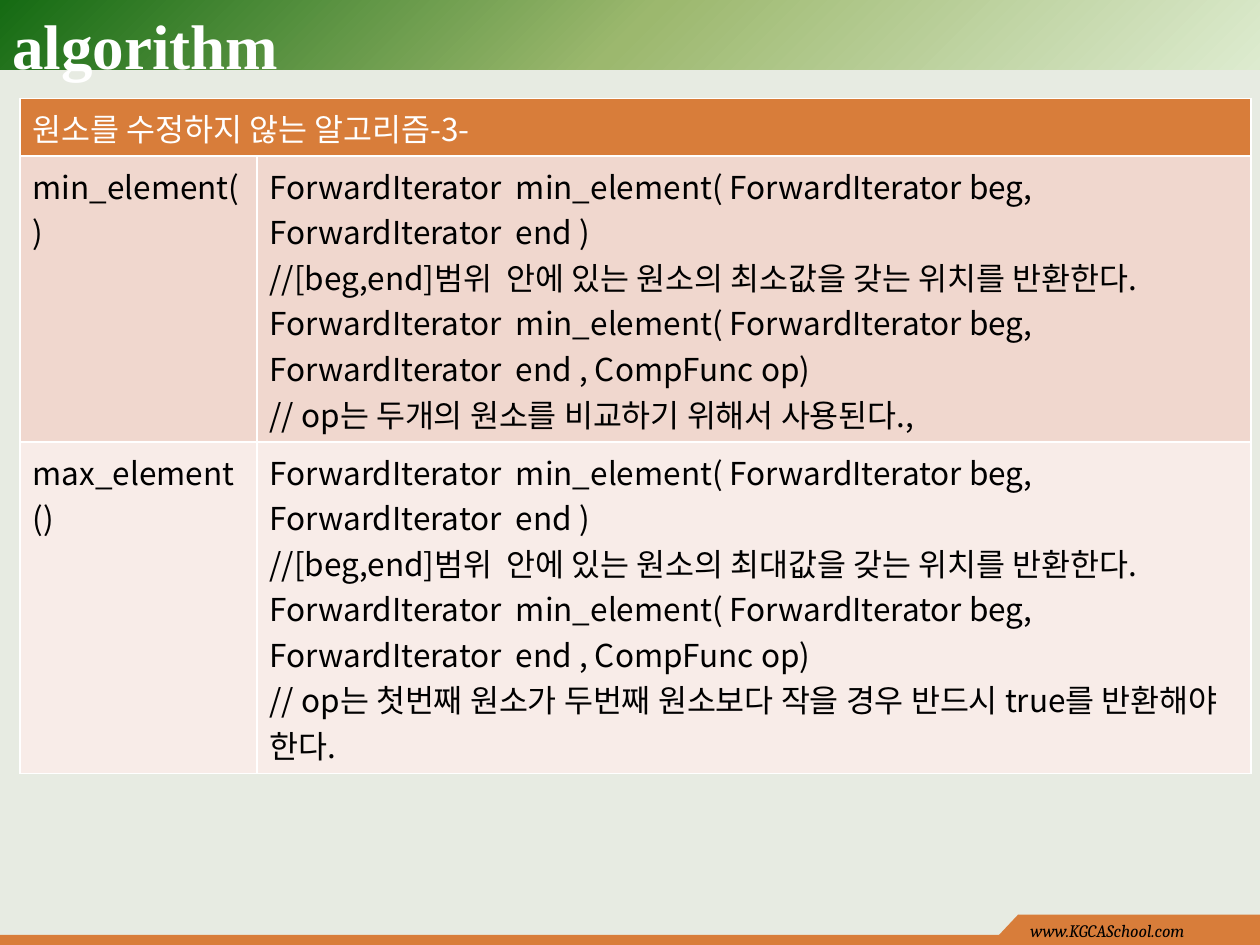
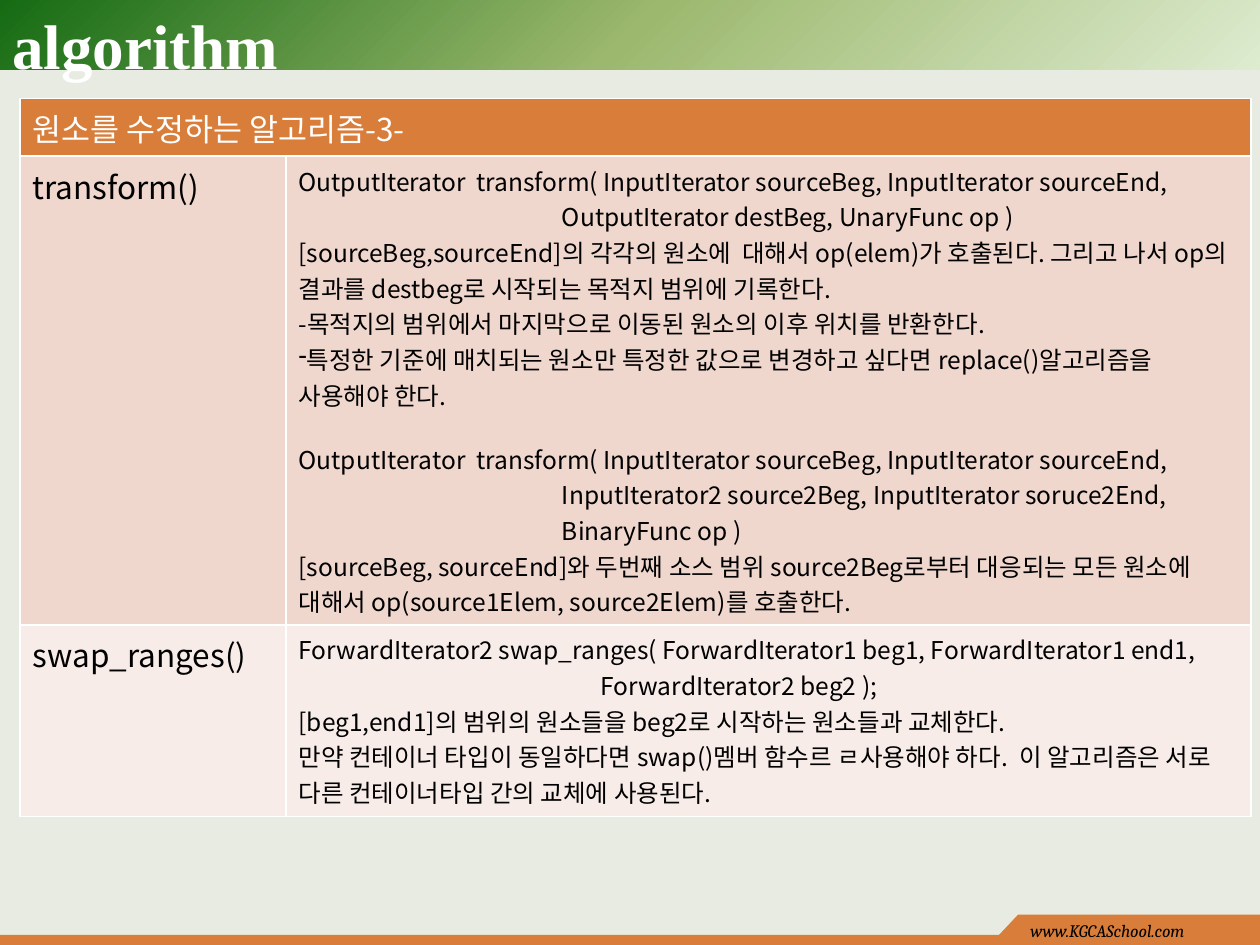
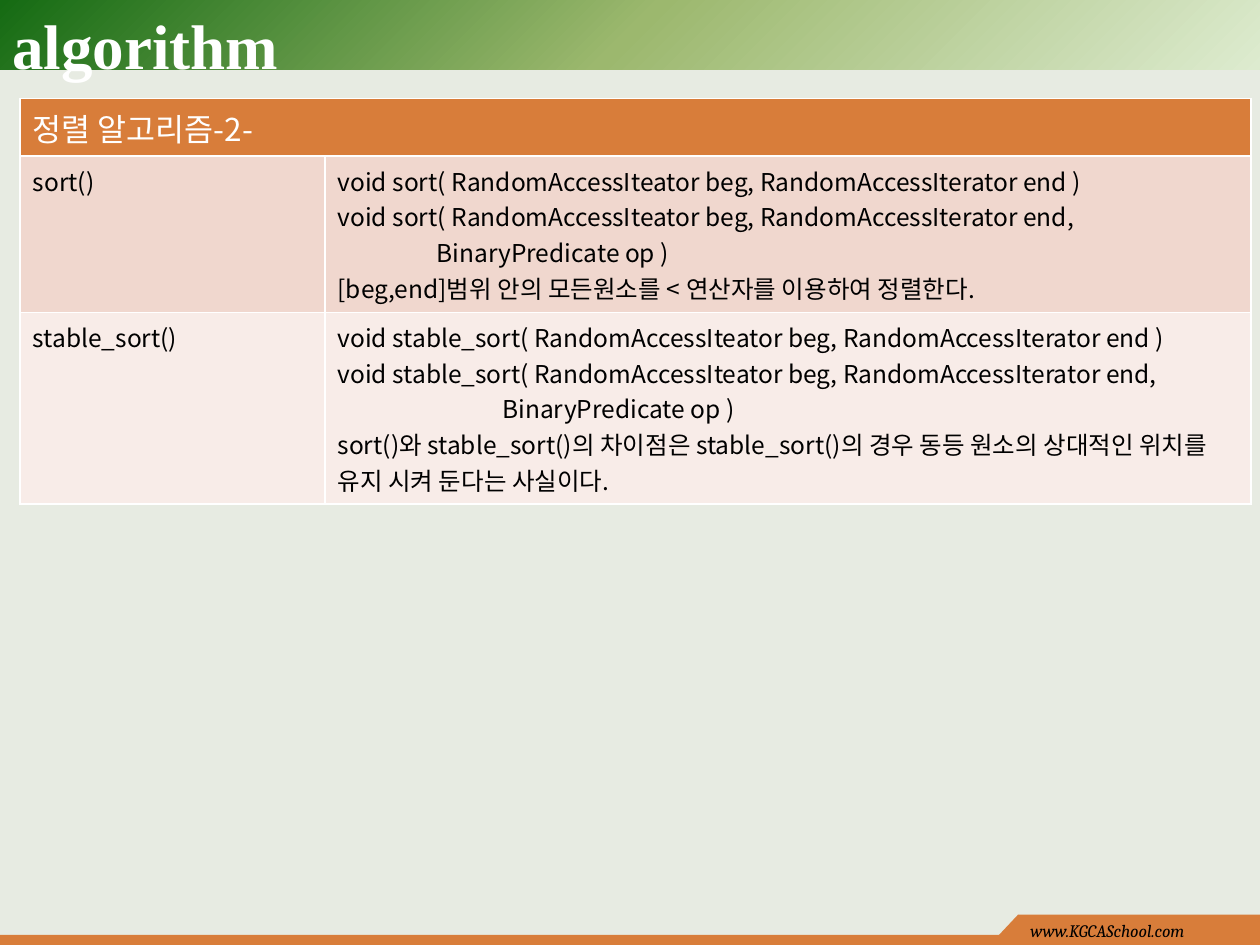
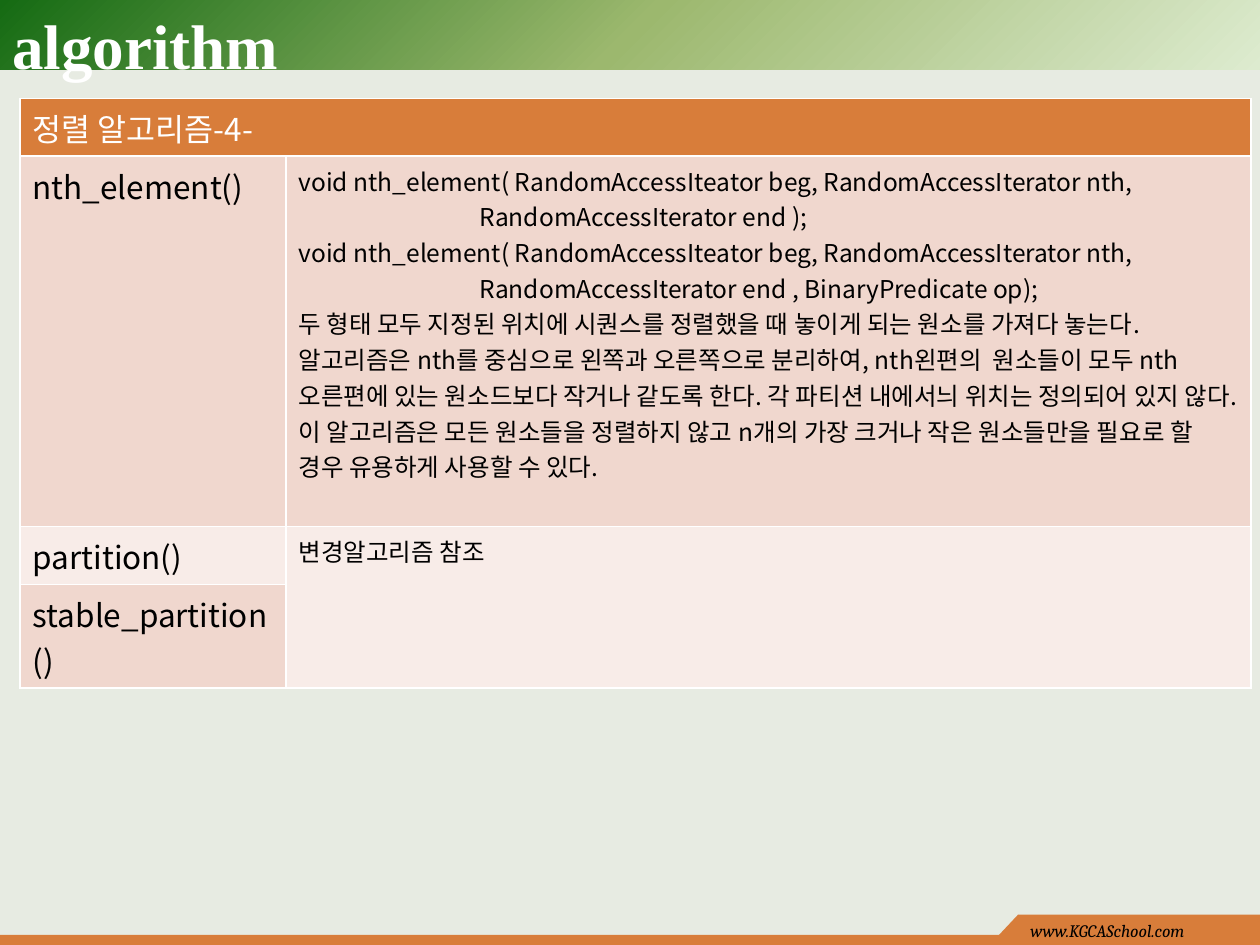
from copy import deepcopy
from dataclasses import dataclass

from lxml.etree import SubElement as Sub
from pptx import Presentation
from pptx.dml.color import RGBColor as Rgb
from pptx.enum.shapes import MSO_SHAPE as Kind
from pptx.enum.text import MSO_ANCHOR as Anchor
from pptx.oxml import parse_xml
from pptx.oxml.ns import nsdecls, qn
from pptx.util import Inches, Pt

PAPER = Rgb(0xE7, 0xEB, 0xE2)
ORANGE = Rgb(0xD8, 0x7D, 0x3A)
ROSE = Rgb(0xF0, 0xD7, 0xCE)
BLUSH = Rgb(0xF8, 0xEC, 0xE8)
WHITE = Rgb(0xFF, 0xFF, 0xFF)
BLACK = Rgb(0, 0, 0)
PALE = Rgb(0xDD, 0xEB, 0xCF)
MOSS = Rgb(0x9C, 0xB8, 0x6E)
GREEN = Rgb(0x15, 0x6B, 0x13)

TITLE = {"name": "Times New Roman", "size": Pt(36), "bold": True}
FOOT = {"name": "Cambria", "size": Pt(10), "italic": True}
BODY = {"name": "Noto Sans CJK KR"}
WIDTH = 9.77
LINE = 0.46


@dataclass
class Para:
    text: str
    bullet: str = ""
    gap: int = 0


@dataclass
class Row:
    name: str
    high: float
    paras: tuple[Para, ...] = ()


@dataclass
class Page:
    head: str
    first: float
    rows: tuple[Row, ...]
    big: int = 18
    small: int = 14


def code(pad: int, *lines: str, gap: int = 0) -> Para:
    return Para(("\n" + " " * pad).join(lines), gap=gap)


def extreme(name: str, high: float, word: str, note: str) -> Row:
    call = "ForwardIterator  min_element( ForwardIterator beg, ForwardIterator  end "
    return Row(name, high, (
        Para(f"{call})"),
        Para(f"//[beg,end]범위  안에 있는 원소의 {word}값을 갖는 위치를 반환한다.\n{call}, CompFunc op)"),
        Para(note),
    ))


def sorter(name: str, high: float, pad: int, note: str) -> Row:
    call = f"void {name}( RandomAccessIteator beg, RandomAccessIterator end"
    return Row(f"{name}()", high, (
        Para(f"{call} )"),
        code(pad, f"{call},", "BinaryPredicate op )"),
        Para(note),
    ))


MAP = "OutputIterator  transform( InputIterator sourceBeg, InputIterator sourceEnd,"
NTH = "void nth_element( RandomAccessIteator beg, RandomAccessIterator nth, "

PAGES = (
    Page("원소를 수정하지 않는 알고리즘-3-", 1.88, (
        extreme("min_element()", 2.27, "최소", "// op는 두개의 원소를 비교하기 위해서 사용된다.,"),
        extreme("max_element()", 2.63, "최대",
                "// op는 첫번째 원소가 두번째 원소보다 작을 경우 반드시 true를 반환해야 한다."),
    ), small=18),
    Page("원소를 수정하는 알고리즘-3-", 2.11, (
        Row("transform()", 3.72, (
            code(48, MAP, "OutputIterator destBeg, UnaryFunc op )"),
            Para("[sourceBeg,sourceEnd]의 각각의 원소에  대해서 op(elem)가 호출된다. "
                 "그리고 나서 op의 결과를 destbeg로 시작되는 목적지 범위에 기록한다."),
            Para("-목적지의 범위에서 마지막으로 이동된 원소의 이후 위치를 반환한다."),
            Para("특정한 기준에 매치되는 원소만 특정한 값으로 변경하고 싶다면 "
                 "replace()알고리즘을 사용해야 한다.", bullet="-"),
            code(48, MAP, "InputIterator2 source2Beg, InputIterator soruce2End,",
                 "BinaryFunc op )", gap=16),
            Para("[sourceBeg, sourceEnd]와 두번째 소스 범위 source2Beg로부터 대응되는 "
                 "모든 원소에 대해서 op(source1Elem, source2Elem)를 호출한다."),
        )),
        Row("swap_ranges()", 1.52, (
            code(55, "ForwardIterator2 swap_ranges( ForwardIterator1 beg1, ForwardIterator1 end1,",
                 "ForwardIterator2 beg2 );"),
            Para("[beg1,end1]의 범위의 원소들을 beg2로 시작하는 원소들과 교체한다."),
            Para("만약 컨테이너 타입이 동일하다면 swap()멤버 함수르 ㄹ사용해야 하다.  "
                 "이 알고리즘은 서로 다른 컨테이너타입 간의 교체에 사용된다."),
        )),
    )),
    Page("정렬 알고리즘-2-", 2.42, (
        sorter("sort", 1.24, 18, "[beg,end]범위 안의 모든원소를 < 연산자를 이용하여 정렬한다."),
        sorter("stable_sort", 1.52, 30, "sort()와 stable_sort()의 차이점은 stable_sort()의 경우 "
               "동등 원소의 상대적인 위치를 유지 시켜 둔다는 사실이다."),
    ), big=14),
    Page("정렬 알고리즘-4-", 2.11, (
        Row("nth_element()", 2.94, (
            code(33, NTH, "RandomAccessIterator end );"),
            code(33, NTH, "RandomAccessIterator end , BinaryPredicate op);"),
            Para("두 형태 모두 지정된 위치에 시퀀스를 정렬했을 때 놓이게 되는 원소를 가져다 놓는다."),
            Para("알고리즘은 nth를 중심으로 왼쪽과 오른쪽으로 분리하여, nth왼편의  원소들이 모두 "
                 "nth오른편에 있는 원소드보다 작거나 같도록 한다. "
                 "각 파티션 내에서늬 위치는 정의되어 있지 않다."),
            Para("이 알고리즘은 모든 원소들을 정렬하지 않고 n개의 가장 크거나 작은 원소들만을 "
                 "필요로 할 경우 유용하게 사용할 수 있다."),
        )),
        Row("partition()", LINE, (Para("변경알고리즘 참조"),)),
        Row("stable_partition()", 0.82),
    )),
)


def write(frame, paras: tuple[Para, ...], form: dict, ink: Rgb) -> None:
    for num, item in enumerate(paras):
        para = frame.add_paragraph() if num else frame.paragraphs[0]
        para.text = item.text
        if item.gap:
            para.space_before = Pt(item.gap)
        if item.bullet:
            Sub(para._p.get_or_add_pPr(), qn("a:buChar")).set("char", item.bullet)
        for run in para.runs:
            for key, val in form.items():
                setattr(run.font, key, val)
            run.font.color.rgb = ink
        for cut in para._p.findall(qn("a:br")):
            cut.append(deepcopy(para.runs[0]._r.rPr))


def label(slide, box: tuple[float, ...], text: str, form: dict, ink: Rgb, anchor: Anchor) -> None:
    frame = slide.shapes.add_textbox(*map(Inches, box)).text_frame
    frame.word_wrap = True
    frame.vertical_anchor = anchor
    write(frame, (Para(text),), form, ink)


def paint(shape, color: Rgb) -> None:
    shape.shadow.inherit = False
    shape.fill.solid()
    shape.fill.fore_color.rgb = color
    shape.line.fill.background()


def block(shapes, box: tuple[float, ...], color: Rgb):
    shape = shapes.add_shape(Kind.RECTANGLE, *map(Inches, box))
    paint(shape, color)
    return shape


def shade(shape) -> None:
    stops = "".join(
        f'<a:gs pos="{pos}"><a:srgbClr val="{color}"/></a:gs>'
        for pos, color in ((0, PALE), (50000, MOSS), (100000, GREEN)))
    blend = parse_xml(
        f'<a:gradFill {nsdecls("a")} rotWithShape="1"><a:gsLst>{stops}</a:gsLst>'
        '<a:path path="circle"><a:fillToRect l="100000" t="100000"/></a:path></a:gradFill>')
    props = shape._element.spPr
    props.replace(props.find(qn("a:solidFill")), blend)


def decor(slide) -> None:
    shade(block(slide.shapes, (0, 0, 10, 0.55), MOSS))
    group = slide.shapes.add_group_shape().shapes
    block(group, (0, 7.42, 10, 0.08), ORANGE)
    block(group, (8.08, 7.26, 1.92, 0.17), ORANGE)
    wedge = group.build_freeform(Inches(7.92), Inches(7.43))
    wedge.add_line_segments([(Inches(8.08), Inches(y)) for y in (7.43, 7.26)])
    paint(wedge.convert_to_shape(), ORANGE)
    label(slide, (8.08, 7.25, 1.92, 0.25), "www.KGCASchool.com", FOOT, BLACK, Anchor.TOP)
    label(slide, (0, 0, 9, 0.7), "algorithm", TITLE, WHITE, Anchor.MIDDLE)


def dress(cell, color: Rgb) -> None:
    cell.fill.solid()
    cell.fill.fore_color.rgb = color
    for num, side in enumerate("LRTB"):
        edge = parse_xml(
            f'<a:ln{side} {nsdecls("a")} w="{Pt(1)}"><a:solidFill>'
            f'<a:srgbClr val="{WHITE}"/></a:solidFill></a:ln{side}>')
        cell._tc.get_or_add_tcPr().insert(num, edge)


def chart(slide, page: Page) -> None:
    highs = (LINE, *(row.high for row in page.rows))
    table = slide.shapes.add_table(
        len(highs), 2, Inches(0.16), Inches(0.78), Inches(WIDTH), Inches(sum(highs))).table
    for col, wide in zip(table.columns, (page.first, WIDTH - page.first)):
        col.width = Inches(wide)
    for num, (line, high) in enumerate(zip(table.rows, highs)):
        line.height = Inches(high)
        color = (ROSE if num % 2 else BLUSH) if num else ORANGE
        for cell in line.cells:
            dress(cell, color)
    top = table.cell(0, 0)
    top.merge(table.cell(0, 1))
    write(top.text_frame, (Para(page.head),), BODY | {"size": Pt(18)}, WHITE)
    for num, row in enumerate(page.rows, 1):
        name, text = table.cell(num, 0), table.cell(num, 1)
        write(name.text_frame, (Para(row.name),), BODY | {"size": Pt(page.big)}, BLACK)
        if row.paras:
            write(text.text_frame, row.paras, BODY | {"size": Pt(page.small)}, BLACK)
        else:
            table.cell(num - 1, 1).merge(text)


def main() -> None:
    deck = Presentation()
    deck.slide_width, deck.slide_height = Inches(10), Inches(7.5)
    back = deck.slide_master.background.fill
    back.solid()
    back.fore_color.rgb = PAPER
    for page in PAGES:
        slide = deck.slides.add_slide(deck.slide_layouts[6])
        decor(slide)
        chart(slide, page)
    deck.save("out.pptx")


if __name__ == "__main__":
    main()
